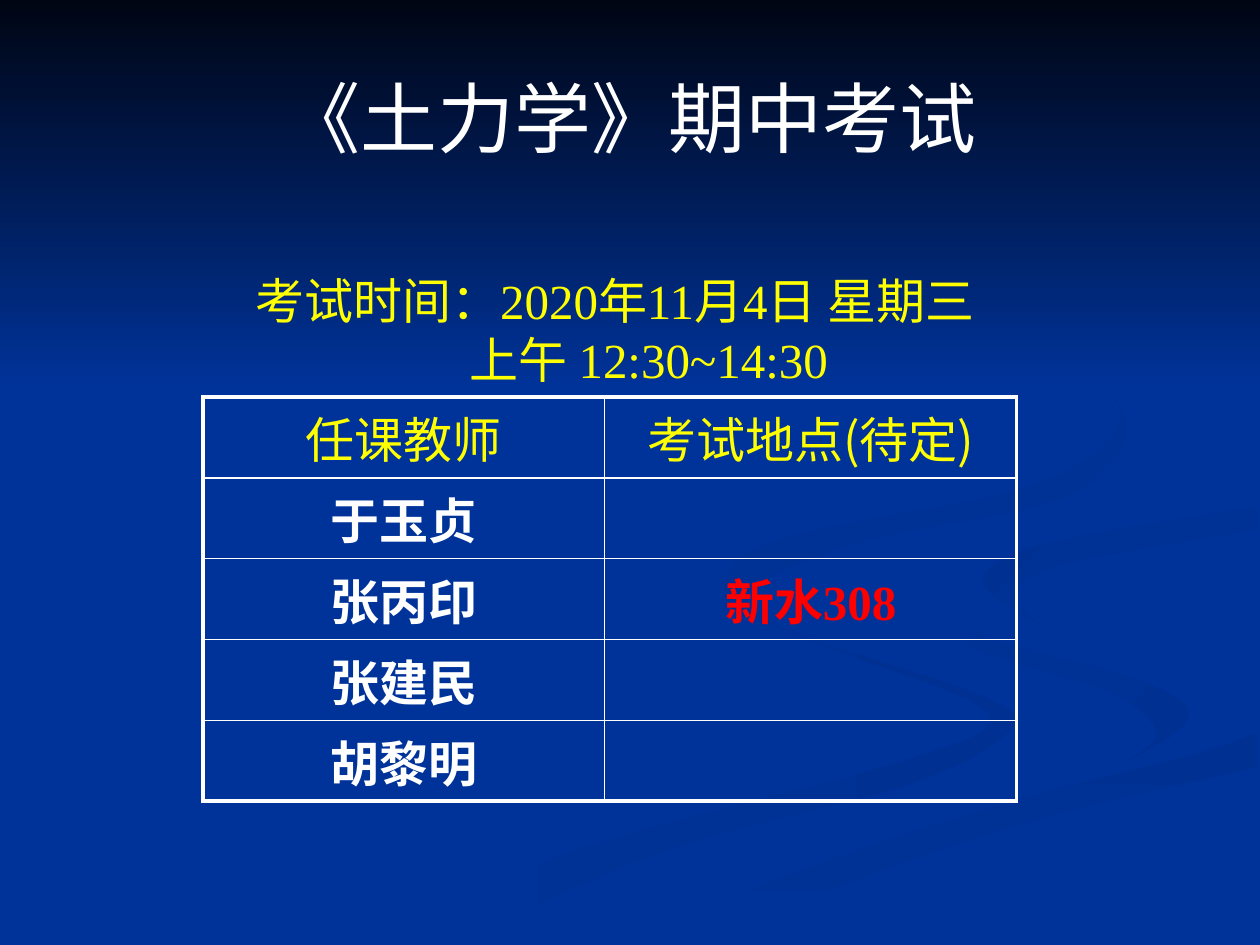
import pptx
import pptx.dml.color
import pptx.enum.text
import pptx.oxml.ns
import pptx.util
from lxml import etree

Inches = pptx.util.Inches
Pt = pptx.util.Pt
ALIGN = pptx.enum.text.PP_ALIGN
MIDDLE = pptx.enum.text.MSO_ANCHOR.MIDDLE

THEME = {
    "blue": "003399", "shade": "003091", "night": "000514",
    "white": "FFFFFF", "yellow": "FFFF00", "red": "FF0000",
    "latin": "Times New Roman", "chinese": "Noto Sans CJK SC",
    "title size": 44, "body size": 28, "outer line": 2.25, "inner line": 1,
}

# Content
TITLE = "《土力学》期中考试"
EXAM_DATE = "考试时间：2020年11月4日 星期三"
EXAM_HOURS = "上午 12:30~14:30"
ROWS = [
    ("任课教师", "考试地点(待定)"),
    ("于玉贞", ""),
    ("张丙印", "新水308"),
    ("张建民", ""),
    ("胡黎明", ""),
]

# Background ribbons: first colour, last colour, clockwise angle, two curved edges
RIBBONS = [
    ("blue", "shade", 0,
     [(5.75, 4.59), (6.14, 4.96), (7.81, 5.53), (8, 5.81), (7.2, 6.23), (5.32, 6.74), (3.61, 7.49)],
     [(3, 7.49), (4.58, 6.74), (7.14, 6.05), (7.85, 5.66), (6.54, 5.13), (5.76, 4.8)]),
    ("blue", "shade", 45,
     [(7.24, 4.64), (7.58, 4.98), (9.05, 5.4), (9.43, 5.7), (8.94, 6.05)],
     [(8.94, 6.05), (9.18, 5.81), (8.8, 5.49), (7.66, 5.12), (7.24, 4.64)]),
    ("shade", "blue", 90,
     [(5.03, 7.49), (6.3, 6.93), (8, 6.37), (9.5, 5.98), (9.98, 5.81)],
     [(9.98, 6.09), (8.21, 6.51), (6.7, 7.02), (5.71, 7.49)]),
    ("shade", "blue", 45,
     [(9.98, 4.02), (8.65, 4.24), (7.99, 4.42), (7.81, 4.65), (8.26, 4.96)],
     [(8.26, 4.96), (8.05, 4.72), (8.43, 4.48), (9.98, 4.2)]),
    ("shade", "blue", 45,
     [(7.62, 2.33), (8.54, 2.83), (8.94, 3.44), (8.41, 3.96), (6.83, 4.3), (5.94, 4.7), (6.22, 5)],
     [(6.22, 5), (5.77, 4.62), (6.25, 4.26), (8.18, 3.86), (8.89, 3.35), (8.46, 2.79), (7.62, 2.33)]),
]
SKY = [(0, 0), (0, 3.08), (10, 3.08), (10, 0)]
STEPS = 5


def rgb(name):
    return pptx.dml.color.RGBColor.from_string(THEME[name])


def add_run(paragraph, text, size, color, bold=False, latin="latin"):
    run = paragraph.add_run()
    run.text = text
    run.font.size = Pt(THEME[size])
    run.font.bold = bold
    run.font.color.rgb = rgb(color)
    run.font.name = THEME[latin]
    east_asian = etree.SubElement(run.font._element, pptx.oxml.ns.qn("a:ea"))
    east_asian.set("typeface", THEME["chinese"])


def smooth(edge):
    """Return points of a Catmull-Rom curve through the edge."""
    padded = [edge[0], *edge, edge[-1]]
    curve = []
    for a, b, c, d in zip(padded, padded[1:], padded[2:], padded[3:]):
        for step in range(STEPS):
            t = step / STEPS
            curve.append(tuple(
                q + t * (r - p + t * (2 * p - 5 * q + 4 * r - s + t * (3 * (q - r) + s - p))) / 2
                for p, q, r, s in zip(a, b, c, d)))
    return curve + [edge[-1]]


def add_band(slide, first, last, angle, outline):
    points = [(Inches(x), Inches(y)) for x, y in outline]
    builder = slide.shapes.build_freeform(*points[0], scale=1.0)
    builder.add_line_segments(points[1:], close=True)
    shape = builder.convert_to_shape()
    shape.shadow.inherit = False
    shape.line.fill.background()
    shape.fill.gradient()
    shape.fill.gradient_angle = -angle % 360
    for stop, color in zip(shape.fill.gradient_stops, (first, last)):
        stop.color.rgb = rgb(color)


def set_borders(cell, widths):
    properties = cell._tc.get_or_add_tcPr()
    for position, (side, width) in enumerate(widths.items()):
        line = etree.Element(pptx.oxml.ns.qn("a:ln" + side), w=str(Pt(width)))
        fill = etree.SubElement(line, pptx.oxml.ns.qn("a:solidFill"))
        etree.SubElement(fill, pptx.oxml.ns.qn("a:srgbClr"), val=THEME["white"])
        properties.insert(position, line)


presentation = pptx.Presentation()
presentation.slide_width, presentation.slide_height = Inches(10), Inches(7.5)
slide = presentation.slides.add_slide(presentation.slide_layouts[5])

# Background
slide.background.fill.solid()
slide.background.fill.fore_color.rgb = rgb("blue")
for first, last, angle, outward, back in RIBBONS:
    add_band(slide, first, last, angle, smooth(outward) + smooth(back))
add_band(slide, "night", "blue", 90, SKY)

# Title, brought in front of the bands
title = slide.shapes.title
slide.shapes.element.append(title.element)
title.left, title.top, title.width, title.height = map(Inches, (0.5, 0.3, 9, 1.25))
title.text_frame.vertical_anchor = MIDDLE
title.text_frame.paragraphs[0].alignment = ALIGN.CENTER
add_run(title.text_frame.paragraphs[0], TITLE, "title size", "white")

# Teachers and rooms
table = slide.shapes.add_table(len(ROWS), 2, *map(Inches, (1.61, 3.15, 6.46, 3.1))).table
table.first_row = table.horz_banding = False
for column, width in zip(table.columns, (3.19, 3.27)):
    column.width = Inches(width)
outer, inner = THEME["outer line"], THEME["inner line"]
for i, row in enumerate(ROWS):
    table.rows[i].height = Inches(0.62)
    for j, text in enumerate(row):
        cell = table.cell(i, j)
        cell.fill.background()
        cell.vertical_anchor = MIDDLE
        cell.margin_left = cell.margin_right = Inches(0.04)
        cell.margin_top = cell.margin_bottom = Inches(0.04)
        set_borders(cell, {
            "L": outer if j == 0 else inner, "R": outer if j == 1 else inner,
            "T": outer if i == 0 else inner, "B": outer if i == len(ROWS) - 1 else inner})
        if text:
            paragraph = cell.text_frame.paragraphs[0]
            paragraph.alignment = ALIGN.CENTER
            color = "yellow" if i == 0 else "red" if j else "white"
            add_run(paragraph, text, "body size", color, bold=i > 0,
                    latin="latin" if i else "chinese")

# Exam time
box = slide.shapes.add_textbox(*map(Inches, (1.61, 2.1, 6.54, 1.04)))
box.text_frame.word_wrap = True
box.text_frame.auto_size = pptx.enum.text.MSO_AUTO_SIZE.SHAPE_TO_FIT_TEXT
date = box.text_frame.paragraphs[0]
date.alignment = ALIGN.CENTER
add_run(date, EXAM_DATE, "body size", "yellow")
hours = box.text_frame.add_paragraph()
hours.alignment = ALIGN.LEFT
hours._p.get_or_add_pPr().set("marL", str(Inches(2.02)))
add_run(hours, EXAM_HOURS, "body size", "yellow")

presentation.save("out.pptx")
